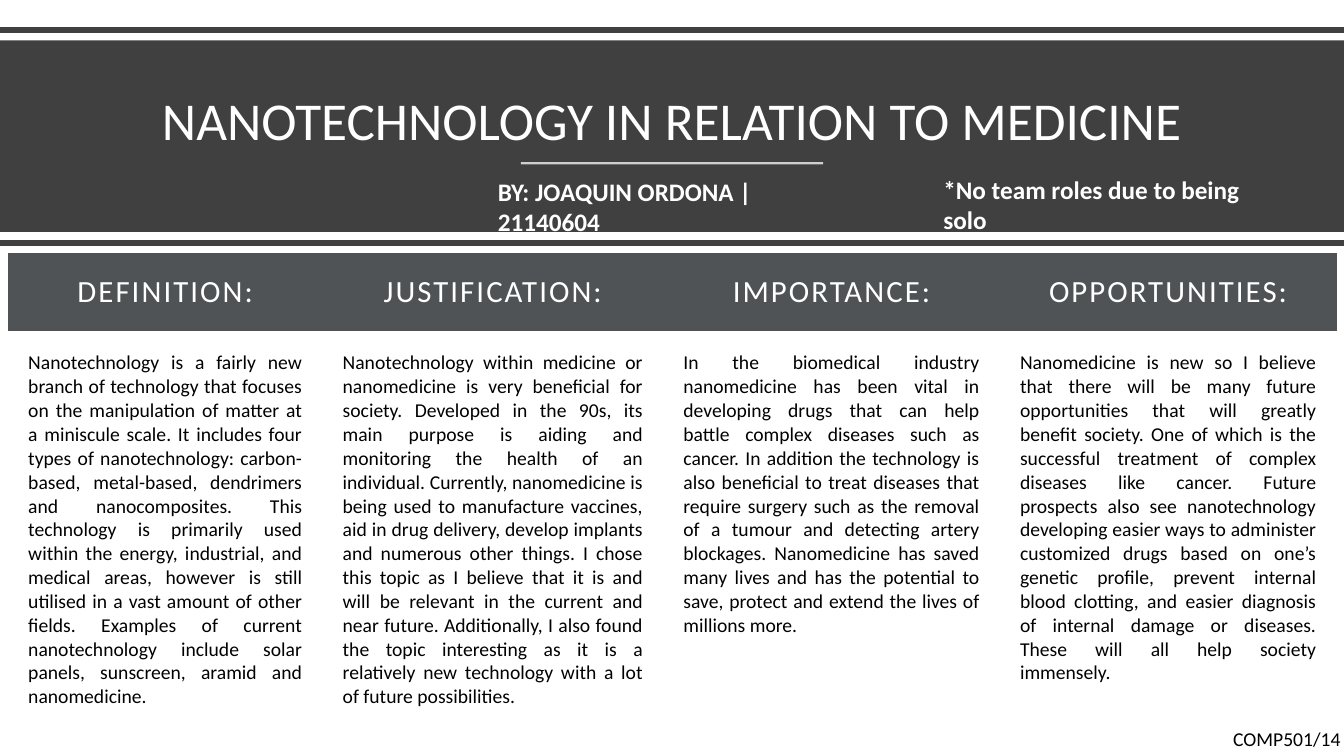
from dataclasses import dataclass, field
from typing import Any

import lxml.etree
import pptx
import pptx.dml.color
import pptx.enum.shapes
import pptx.enum.text
import pptx.oxml.ns
import pptx.util

WHITE = pptx.dml.color.RGBColor(0xFF, 0xFF, 0xFF)
BLACK = pptx.dml.color.RGBColor(0x00, 0x00, 0x00)
CHARCOAL = pptx.dml.color.RGBColor(0x40, 0x40, 0x40)
SLATE = pptx.dml.color.RGBColor(0x50, 0x53, 0x56)

ALIGN = pptx.enum.text.PP_ALIGN
ANCHOR = pptx.enum.text.MSO_ANCHOR
NO_GRID_STYLE = "{2D5ABB26-0587-4C30-8999-92F81FD0307C}"
SLIDE_WIDTH = pptx.util.Inches(13.33)
SLIDE_HEIGHT = pptx.util.Inches(7.5)
GRID_COLUMNS, GRID_ROWS = 100, 75


@dataclass(frozen=True)
class Area:
    column: float
    row: float
    columns: float
    rows: float


@dataclass(frozen=True)
class Rule:
    column: float
    row: float
    columns: float
    color: pptx.dml.color.RGBColor
    weight: float
    opacity: int = 100


@dataclass(frozen=True)
class Label:
    text: str
    area: Area
    font: dict[str, Any]
    paragraph: dict[str, Any] = field(default_factory=dict)


@dataclass(frozen=True)
class Section:
    heading: str
    columns: float
    body: str


def text_format(size: int, color: pptx.dml.color.RGBColor, bold: bool = False) -> dict[str, Any]:
    return {"name": "Calibri", "size": pptx.util.Pt(size), "bold": bold, "color": color}


TITLE_FONT = text_format(38, WHITE)
CREDIT_FONT = text_format(18, WHITE, True)
HEADING_FONT = text_format(22, WHITE)
BODY_FONT = text_format(14, BLACK)
CELL_MARGINS = {
    f"margin_{side}": pptx.util.Inches(0.2) for side in ("left", "right", "top", "bottom")
}

BANNER = Area(0, 4, GRID_COLUMNS, 19)
TITLE_AREA = Area(4.35, 5.4, 91.3, 10.2)
TABLE_COLUMN, TABLE_ROW = 0.6, 25.1
TABLE_ROWS = (7.75, 39.6)

RULES = [
    Rule(0, 3, GRID_COLUMNS, CHARCOAL, 4),
    Rule(38.75, 16.2, 22.5, WHITE, 1.5, 75),
    Rule(0, 24.1, GRID_COLUMNS, CHARCOAL, 4),
]
LABELS = [
    Label("BY: JOAQUIN ORDONA | 21140604", Area(36.3, 17, 27.4, 4), CREDIT_FONT),
    Label("COMP501/14", Area(89.7, 71.6, 12.1, 3.4), BODY_FONT, {"alignment": ALIGN.CENTER}),
    Label("*No team roles due to being solo", Area(69.45, 16.8, 26.2, 4), CREDIT_FONT),
]
SECTIONS = [
    Section(
        "DEFINITION:", 23.4,
        "Nanotechnology is a fairly new branch of technology that focuses on the manipulation "
        "of matter at a miniscule scale. It includes four types of nanotechnology: carbon-based, "
        "metal-based, dendrimers and nanocomposites. This technology is primarily used within "
        "the energy, industrial, and medical areas, however is still utilised in a vast amount "
        "of other fields. Examples of current nanotechnology include solar panels, sunscreen, "
        "aramid and nanomedicine.",
    ),
    Section(
        "JUSTIFICATION:", 25.35,
        "Nanotechnology within medicine or nanomedicine is very beneficial for society. "
        "Developed in the 90s, its main purpose is aiding and monitoring the health of an "
        "individual. Currently, nanomedicine is being used to manufacture vaccines, aid in drug "
        "delivery, develop implants and numerous other things. I chose this topic as I believe "
        "that it is and will be relevant in the current and near future. Additionally, I also "
        "found the topic interesting as it is a relatively new technology with a lot of future "
        "possibilities.",
    ),
    Section(
        "IMPORTANCE:", 25.05,
        "In the biomedical industry nanomedicine has been vital in developing drugs that can "
        "help battle complex diseases such as cancer. In addition the technology is also "
        "beneficial to treat diseases that require surgery such as the removal of a tumour and "
        "detecting artery blockages. Nanomedicine has saved many lives and has the potential to "
        "save, protect and extend the lives of millions more.",
    ),
    Section(
        "OPPORTUNITIES:", 25.05,
        "Nanomedicine is new so I believe that there will be many future opportunities that "
        "will greatly benefit society. One of which is the successful treatment of complex "
        "diseases like cancer. Future prospects also see nanotechnology developing easier ways "
        "to administer customized drugs based on one’s genetic profile, prevent internal blood "
        "clotting, and easier diagnosis of internal damage or diseases. These will all help "
        "society immensely.",
    ),
]


def across(columns: float) -> int:
    return round(SLIDE_WIDTH * columns / GRID_COLUMNS)


def down(rows: float) -> int:
    return round(SLIDE_HEIGHT * rows / GRID_ROWS)


def bounds(area: Area) -> tuple[int, int, int, int]:
    return across(area.column), down(area.row), across(area.columns), down(area.rows)


def apply(target: Any, values: dict[str, Any]) -> None:
    for name, value in values.items():
        if name == "color":
            target.color.rgb = value
        else:
            setattr(target, name, value)


def write(frame: Any, text: str, font: dict[str, Any], layout: dict[str, Any]) -> Any:
    para = frame.paragraphs[0]
    apply(para, layout)
    span = para.add_run()
    span.text = text
    apply(span.font, font)
    return span


def draw_rule(page: Any, rule: Rule) -> None:
    start, level = across(rule.column), down(rule.row)
    line = page.shapes.add_connector(
        pptx.enum.shapes.MSO_CONNECTOR.STRAIGHT,
        start, level, start + across(rule.columns), level,
    )
    apply(line.line, {"color": rule.color, "width": pptx.util.Pt(rule.weight)})
    qn = pptx.oxml.ns.qn
    if rule.opacity < 100:
        tint = next(line.element.iter(qn("a:srgbClr")))
        lxml.etree.SubElement(tint, qn("a:alpha"), val=str(rule.opacity * 1000))
    lxml.etree.SubElement(line.element.find(qn("p:spPr")), qn("a:effectLst"))


def draw_banner(page: Any) -> None:
    banner = page.shapes.add_shape(pptx.enum.shapes.MSO_SHAPE.RECTANGLE, *bounds(BANNER))
    banner.shadow.inherit = False
    banner.fill.solid()
    banner.fill.fore_color.rgb = CHARCOAL
    banner.line.fill.background()


def draw_title(page: Any) -> None:
    title = page.shapes.title
    place = dict(zip(("left", "top", "width", "height"), bounds(TITLE_AREA)))
    apply(title, place)
    apply(title.text_frame, {"vertical_anchor": ANCHOR.BOTTOM, "word_wrap": True,
                             "auto_size": pptx.enum.text.MSO_AUTO_SIZE.NONE})
    write(title.text_frame, "NANOTECHNOLOGY IN RELATION TO MEDICINE", TITLE_FONT,
          {"alignment": ALIGN.CENTER, "line_spacing": 0.9})
    page.shapes.element.append(title.element)


def draw_label(page: Any, label: Label) -> None:
    box = page.shapes.add_textbox(*bounds(label.area))
    box.text_frame.word_wrap = True
    write(box.text_frame, label.text, label.font, label.paragraph)


def draw_sections(page: Any) -> None:
    area = Area(TABLE_COLUMN, TABLE_ROW, sum(s.columns for s in SECTIONS), sum(TABLE_ROWS))
    holder = page.shapes.add_table(len(TABLE_ROWS), len(SECTIONS), *bounds(area))
    next(holder.element.iter(pptx.oxml.ns.qn("a:tableStyleId"))).text = NO_GRID_STYLE
    table = holder.table
    apply(table, {"first_row": False, "horz_banding": False})
    for row, height in zip(table.rows, TABLE_ROWS):
        row.height = down(height)
    for index, section in enumerate(SECTIONS):
        table.columns[index].width = across(section.columns)
        heading, body = table.cell(0, index), table.cell(1, index)
        apply(heading, CELL_MARGINS)
        apply(body, CELL_MARGINS)
        heading.fill.solid()
        heading.fill.fore_color.rgb = SLATE
        body.fill.background()
        span = write(heading.text_frame, section.heading, HEADING_FONT, {"alignment": ALIGN.CENTER})
        span.font._element.set("spc", "150")
        write(body.text_frame, section.body, BODY_FONT, {"alignment": ALIGN.JUSTIFY})


deck = pptx.Presentation()
apply(deck, {"slide_width": SLIDE_WIDTH, "slide_height": SLIDE_HEIGHT})
page = deck.slides.add_slide(deck.slide_layouts[5])
draw_banner(page)
draw_title(page)
for rule in RULES:
    draw_rule(page, rule)
draw_sections(page)
for label in LABELS:
    draw_label(page, label)
deck.save("out.pptx")
